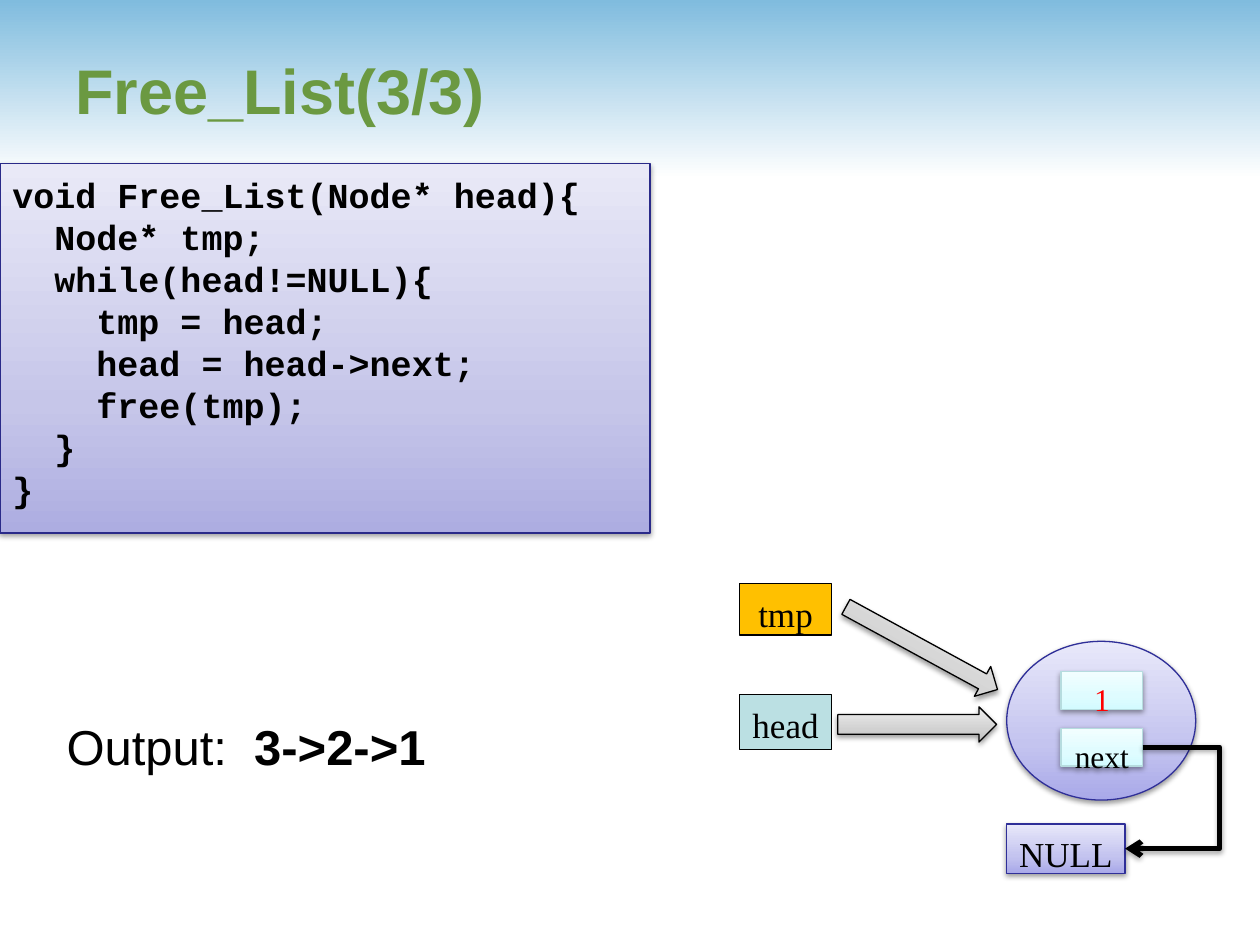
"""Build the Free_List(3/3) slide: code panel, linked-list diagram and output line."""
from dataclasses import dataclass
from typing import Optional

from lxml.etree import SubElement
from pptx import Presentation
from pptx.dml.color import RGBColor
from pptx.enum.shapes import MSO_CONNECTOR as Connector, MSO_SHAPE as Shape
from pptx.enum.text import MSO_ANCHOR as Anchor, PP_ALIGN as Align
from pptx.oxml.ns import qn
from pptx.util import Emu, Inches, Pt

COLUMNS, ROWS = 100, 75
WIDTH, HEIGHT = Inches(10), Inches(7.5)


@dataclass(frozen=True)
class Finish:
    fill: tuple[str, ...]
    line: Optional[str] = None
    shadow: bool = False
    angle: int = 90


@dataclass(frozen=True)
class TextStyle:
    font: str
    size: int
    color: str = "000000"
    bold: bool = False
    align: Align = Align.LEFT
    spacing: Optional[int] = None
    wrap: bool = False
    inset: float = 0.07


@dataclass(frozen=True)
class Theme:
    sky = Finish(("80BCDE", "FFFFFF"), angle=270)
    code_panel = Finish(("ADADE1", "C6C6E9", "E9E9F7"), "2A2A89", True)
    node = Finish(("A9A9E9", "C4C4EF", "E8E8FA"), "2F2F98", True)
    field = Finish(("D3FBFF", "DFFCFF", "F2FEFF"), "B6DCDF", True)
    arrow = Finish(("BDBDBD", "D1D1D1", "EEEEEE"), "000000", True)
    head = Finish(("BBE0E3",), "000000")
    tmp = Finish(("FFC000",), "000000")
    title = TextStyle("Arial", 36, "6B9941", True, wrap=True, inset=0.05)
    code = TextStyle("Courier New", 20, bold=True, spacing=24, wrap=True, inset=0.08)
    output = TextStyle("Arial", 28, wrap=True, inset=0.05)
    pointer = TextStyle("Times New Roman", 20, align=Align.CENTER)
    null = TextStyle("Times New Roman", 20)
    value = TextStyle("Times New Roman", 18, "FF0000", align=Align.CENTER)
    link = TextStyle("Times New Roman", 18, align=Align.CENTER)
    wire = "000000"


@dataclass(frozen=True)
class Box:
    column: float
    row: float
    columns: float
    rows: float

    @property
    def right(self) -> float:
        return self.column + self.columns

    @property
    def middle(self) -> float:
        return self.row + self.rows / 2


@dataclass(frozen=True)
class Block:
    kind: Shape
    box: Box
    finish: Finish
    text: str = ""
    style: Optional[TextStyle] = None
    rotation: float = 0
    adjustments: tuple[float, ...] = ()


THEME = Theme()
LINK_BOX = Box(84.2, 57.8, 6.5, 3)
NULL_BOX = Box(79.9, 65.4, 9.4, 3.9)
BEND_COLUMN = 96.8
CODE = """void Free_List(Node* head){
  Node* tmp;
  while(head!=NULL){
    tmp = head;
    head = head->next;
    free(tmp);
  }
}"""
BLOCKS = (
    Block(Shape.PENTAGON, Box(0, 0, 100, 14.2), THEME.sky, adjustments=(0,)),
    Block(Shape.RECTANGLE, Box(58.7, 55.1, 7.3, 4.4), THEME.head, "head", THEME.pointer),
    Block(Shape.RIGHT_ARROW, Box(66.5, 56.1, 12.6, 2.8), THEME.arrow, adjustments=(0.56, 0.5)),
    Block(Shape.OVAL, Box(79.9, 50.9, 15, 12.6), THEME.node),
    Block(Shape.RECTANGLE, Box(84.2, 53.3, 6.5, 3), THEME.field, "1", THEME.value),
    Block(Shape.RECTANGLE, LINK_BOX, THEME.field, "next", THEME.link),
    Block(Shape.RIGHT_ARROW, Box(66.3, 50.1, 13.7, 2.7), THEME.arrow, rotation=28.6),
    Block(Shape.RECTANGLE, Box(58.7, 46.3, 7.3, 4.1), THEME.tmp, "tmp", THEME.pointer),
    Block(Shape.RECTANGLE, Box(0, 13, 51.6, 29.3), THEME.code_panel, CODE, THEME.code),
    Block(Shape.RECTANGLE, NULL_BOX, THEME.node, "NULL", THEME.null),
)


def across(columns: float) -> Emu:
    """Turn grid columns into a length."""
    return Emu(round(WIDTH * columns / COLUMNS))


def down(rows: float) -> Emu:
    """Turn grid rows into a length."""
    return Emu(round(HEIGHT * rows / ROWS))


def place(box: Box) -> tuple[Emu, Emu, Emu, Emu]:
    """Give left, top, width and height of a grid box."""
    return across(box.column), down(box.row), across(box.columns), down(box.rows)


def paint(shape, finish: Finish) -> None:
    """Apply fill, outline and shadow."""
    if len(finish.fill) == 1:
        shape.fill.solid()
        shape.fill.fore_color.rgb = RGBColor.from_string(finish.fill[0])
    else:
        shape.fill.gradient()
        shape.fill.gradient_angle = finish.angle
        stops = shape._element.spPr.find(".//" + qn("a:gsLst"))
        stops.clear()
        positions = (0, 35, 100) if len(finish.fill) == 3 else (0, 100)
        for position, color in zip(positions, finish.fill):
            stop = SubElement(stops, qn("a:gs"), pos=str(position * 1000))
            SubElement(stop, qn("a:srgbClr"), val=color)
    if finish.line:
        shape.line.color.rgb = RGBColor.from_string(finish.line)
        shape.line.width = Pt(0.75)
    else:
        shape.line.fill.background()
    shape.shadow.inherit = False
    if finish.shadow:
        cast_shadow(shape._element.spPr.find(qn("a:effectLst")), 38)


def cast_shadow(effects, opacity: int) -> None:
    """Add a soft shadow falling straight down."""
    shadow = SubElement(effects, qn("a:outerShdw"), blurRad=str(Pt(3.1)), dist=str(Pt(1.6)),
                        dir="5400000", rotWithShape="0")
    color = SubElement(shadow, qn("a:srgbClr"), val="000000")
    SubElement(color, qn("a:alpha"), val=str(opacity * 1000))


def write(shape, text: str, style: TextStyle, anchor: Anchor = Anchor.TOP) -> None:
    """Set text and format its runs."""
    frame = shape.text_frame
    frame.text = text
    frame.word_wrap = style.wrap
    frame.vertical_anchor = anchor
    frame.margin_top = Inches(style.inset)
    for paragraph in frame.paragraphs:
        paragraph.alignment = style.align
        if style.spacing:
            paragraph.line_spacing = Pt(style.spacing)
        for run in paragraph.runs:
            run.font.name = style.font
            run.font.size = Pt(style.size)
            run.font.bold = style.bold
            run.font.color.rgb = RGBColor.from_string(style.color)


def draw_block(slide, block: Block) -> None:
    """Draw one filled shape with its label."""
    shape = slide.shapes.add_shape(block.kind, *place(block.box))
    for index, value in enumerate(block.adjustments):
        shape.adjustments[index] = value
    shape.rotation = block.rotation
    paint(shape, block.finish)
    if block.style:
        write(shape, block.text, block.style)


def draw_link(slide, start: Box, end: Box, bend: float) -> None:
    """Draw a bent arrow between the right sides of two boxes."""
    link = slide.shapes.add_connector(Connector.ELBOW, across(start.right), down(start.middle),
                                      across(end.right), down(end.middle))
    link.line.color.rgb = RGBColor.from_string(THEME.wire)
    link.line.width = Pt(3)
    properties = link._element.spPr
    share = (start.right - bend) / (start.right - end.right)
    guides = properties.prstGeom.get_or_add_avLst()
    SubElement(guides, qn("a:gd"), name="adj1", fmla=f"val {round(share * 100000)}")
    SubElement(properties.find(qn("a:ln")), qn("a:tailEnd"), type="arrow")
    cast_shadow(SubElement(properties, qn("a:effectLst")), 35)


def main() -> None:
    """Build and save the slide."""
    presentation = Presentation()
    presentation.slide_width, presentation.slide_height = WIDTH, HEIGHT
    slide = presentation.slides.add_slide(presentation.slide_layouts[6])
    for block in BLOCKS:
        draw_block(slide, block)
    title = slide.shapes.add_textbox(*place(Box(5, 0.8, 90.8, 12.5)))
    write(title, "Free_List(3/3)", THEME.title, Anchor.MIDDLE)
    draw_link(slide, LINK_BOX, NULL_BOX, BEND_COLUMN)
    output = slide.shapes.add_textbox(*place(Box(4.3, 56.4, 36.7, 5.7)))
    write(output, "Output:  ", THEME.output)
    result = output.text_frame.paragraphs[0].add_run()
    result.text = "3->2->1"
    result.font.name, result.font.size, result.font.bold = THEME.output.font, Pt(THEME.output.size), True
    result.font.color.rgb = RGBColor.from_string(THEME.output.color)
    presentation.save("out.pptx")


if __name__ == "__main__":
    main()
